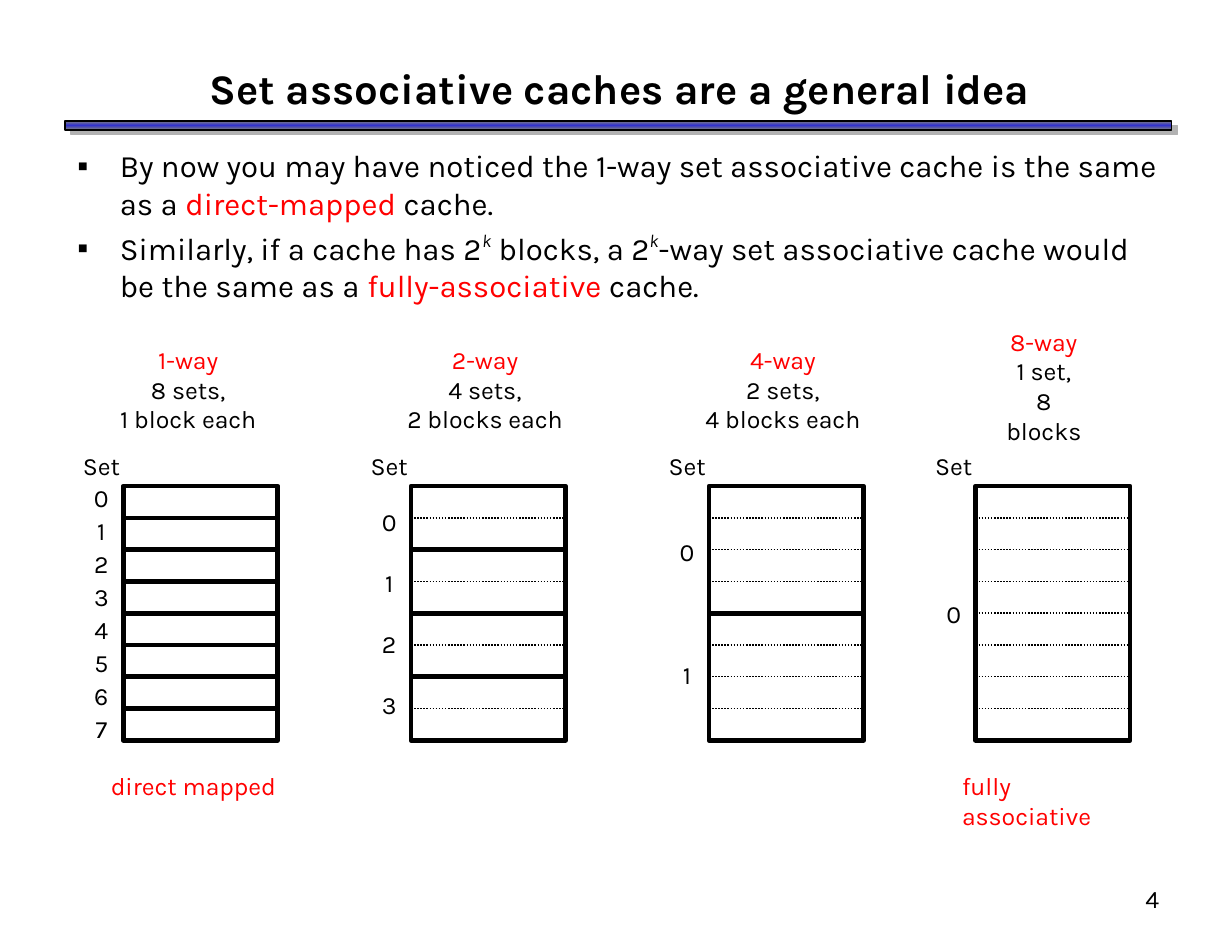
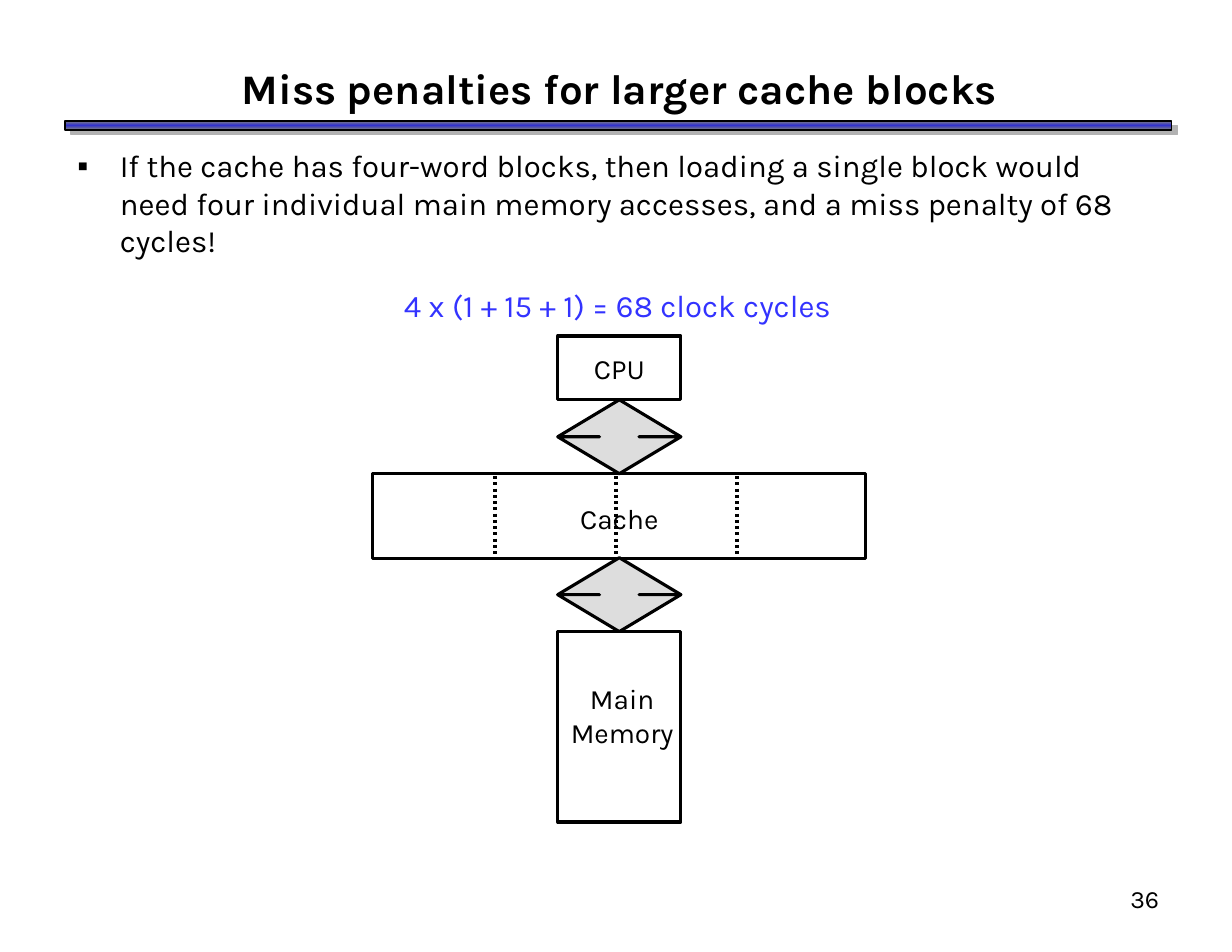
from pptx import Presentation
from pptx.dml.color import RGBColor
from pptx.enum.dml import MSO_LINE
from pptx.enum.shapes import MSO_CONNECTOR, MSO_SHAPE
from pptx.enum.text import MSO_ANCHOR, MSO_AUTO_SIZE, PP_ALIGN
from pptx.oxml import parse_xml
from pptx.oxml.ns import nsdecls
from pptx.util import Inches, Pt

RECT = MSO_SHAPE.RECTANGLE
ARROW = MSO_SHAPE.UP_DOWN_ARROW
LINE = MSO_CONNECTOR.STRAIGHT
DOT = MSO_LINE.ROUND_DOT
TOP, MID = MSO_ANCHOR.TOP, MSO_ANCHOR.MIDDLE
LEFT, CENTER, RIGHT = PP_ALIGN.LEFT, PP_ALIGN.CENTER, PP_ALIGN.RIGHT
FIXED = MSO_AUTO_SIZE.NONE

FONT = "Karla"
BLACK, RED, BLUE = "000000", "FF0000", "3333FF"
GRAY, INDIGO, SHADE, PALE = "808080", "3333CC", "B2B2B2", "DDDDDD"


def color(code):
    return RGBColor.from_string(code)


def node(tag, attrs="", inner=""):
    return parse_xml(f"<a:{tag} {nsdecls('a')} {attrs}>{inner}</a:{tag}>")


def tint(code):
    return f'<a:srgbClr val="{code}"/>'


class Deck:
    def __init__(self):
        self.prs = Presentation()
        self.prs.slide_width = Inches(11)
        self.prs.slide_height = Inches(8.5)
        self.slide = None

    def start(self, title, number):
        self.slide = self.prs.slides.add_slide(self.prs.slide_layouts[1])
        self.band()
        head = self.slide.shapes.title
        self.place(head, 0.58, 0.5, 9.9, 0.57)
        frame = self.frame(head, MID)
        frame.text = title
        self.style(frame.paragraphs[0], 27, align=CENTER, bold=True)
        self.text([str(number)], 8.17, 7.83, 2.29, 0.57,
                  align=RIGHT, anchor=TOP, wrap=True)

    def place(self, shape, x, y, w, h):
        shape.left, shape.top = Inches(x), Inches(y)
        shape.width, shape.height = Inches(w), Inches(h)

    def frame(self, shape, anchor, wrap=True):
        frame = shape.text_frame
        frame.word_wrap = wrap
        frame.auto_size = FIXED
        frame.vertical_anchor = anchor
        frame.margin_left = frame.margin_right = Inches(0.11)
        frame.margin_top = frame.margin_bottom = Inches(0.06)
        return frame

    def style(self, para, size, ink=BLACK, align=LEFT, bold=False):
        para.alignment = align
        for run in para.runs:
            font = run.font
            font.name, font.size, font.bold = FONT, Pt(size), bold
            font.color.rgb = color(ink)

    def band(self):
        bar = self.box(0.58, 1.08, 9.88, 0.08, 1)
        bar.fill.gradient()
        stops = bar.fill.gradient_stops
        bar.fill.gradient_angle = 90
        for stop in stops:
            stop.color.rgb = color(GRAY)
        stops[0].position, stops[1].position = 0, 1
        props = bar._element.spPr
        props.find(".//{*}gsLst").insert(1, node("gs", 'pos="50000"', tint(INDIGO)))
        props.find("{*}effectLst").append(node(
            "outerShdw", f'dist="{Pt(5)}" dir="{37 * 60000}"', tint(SHADE)))

    def body(self, items):
        holder = self.slide.placeholders[1]
        self.place(holder, 0.58, 1.25, 9.87, 6.5)
        frame = self.frame(holder, TOP)
        for i, parts in enumerate(items):
            para = frame.add_paragraph() if i else frame.paragraphs[0]
            para.space_before = Pt(5 if i else 0)
            props = para._p.get_or_add_pPr()
            props.set("marL", str(Inches(0.38)))
            props.set("indent", str(Inches(-0.38)))
            props.append(node("buClr", "", tint(BLACK)))
            props.append(node("buChar", 'char="▪"'))
            for words, _ in parts:
                para.add_run().text = words
            self.style(para, 20)
            for run, (_, mark) in zip(para.runs, parts):
                if mark == "power":
                    run.font.italic = True
                    run._r.get_or_add_rPr().set("baseline", "40000")
                elif mark:
                    run.font.color.rgb = color(mark)
        return frame

    def sum(self, frame, words):
        para = frame.add_paragraph()
        para.text = words
        para.space_before, para.space_after = Pt(17.5), Pt(12.5)
        props = para._p.get_or_add_pPr()
        props.set("marL", "0")
        props.set("indent", "0")
        props.append(node("buNone"))
        self.style(para, 20, BLUE, CENTER)

    def text(self, lines, x, y, w, h, size=16, ink=BLACK, first=None,
             align=CENTER, anchor=MID, gap=0, wrap=False):
        area = self.slide.shapes.add_textbox(
            Inches(x), Inches(y), Inches(w), Inches(h))
        frame = self.frame(area, anchor, wrap)
        frame.text = "\n".join(lines)
        for i, para in enumerate(frame.paragraphs):
            para.space_before = Pt(gap if i else 0)
            self.style(para, size, ink if i else first or ink, align)

    def box(self, x, y, w, h, weight, kind=RECT, fill=None):
        shape = self.slide.shapes.add_shape(
            kind, Inches(x), Inches(y), Inches(w), Inches(h))
        shape.shadow.inherit = False
        if fill:
            shape.fill.solid()
            shape.fill.fore_color.rgb = color(fill)
        else:
            shape.fill.background()
        shape.line.color.rgb = color(BLACK)
        shape.line.width = Pt(weight)
        return shape

    def arrow(self, x, y, w, h):
        shape = self.box(x, y, w, h, 2, ARROW, PALE)
        shape.adjustments[0], shape.adjustments[1] = 0.69, 0.32

    def dots(self, x, y, end, base, weight):
        line = self.slide.shapes.add_connector(
            LINE, Inches(x), Inches(y), Inches(end), Inches(base))
        line.line.color.rgb = color(BLACK)
        line.line.width = Pt(weight)
        line.line.dash_style = DOT
        line._element.spPr.append(node("effectLst"))

    def cache(self, x, ways, head, mid, gap):
        top, wide, tall, rows = 4.34, 1.38, 2.27, 8
        step = tall / rows
        sets = rows // ways
        whole = ways == rows
        span = 1 if whole else 1.62
        self.text([f"{ways}-way", *head], mid - span / 2, 2.99 if whole else 3.02,
                  span, 0.91, first=RED, wrap=whole)
        self.text(["Set"], x - 0.5, 3.97, 0.61, 0.38)
        self.text([str(n) for n in range(sets)], x - 0.37, top, 0.35, tall, gap=gap)
        for n in range(sets):
            self.box(x, top + n * ways * step, wide, ways * step, 3)
        for n in range(1, rows):
            if n % ways:
                self.dots(x, top + n * step, x + wide, top + n * step, 1)


def main():
    deck = Deck()
    deck.start("Set associative caches are a general idea", 4)
    deck.body([
        [("By now you may have noticed the 1-way set associative cache is the same as a ", None),
         ("direct-mapped", RED), (" cache.", None)],
        [("Similarly, if a cache has 2", None), ("k", "power"),
         (" blocks, a 2", None), ("k", "power"),
         ("-way set associative cache would be the same as a ", None),
         ("fully-associative ", RED), ("cache.", None)],
    ])
    for x, ways, head, mid, gap in (
        (1.1, 1, ("8 sets,", "1 block each"), 1.68, 2),
        (3.67, 2, ("4 sets,", "2 blocks each"), 4.33, 20),
        (6.33, 4, ("2 sets,", "4 blocks each"), 6.99, 60),
        (8.71, 8, ("1 set,", "8 blocks"), 9.32, 0),
    ):
        deck.cache(x, ways, head, mid, gap)
    for words, x, w in (("direct mapped", 0.88, 1.8), ("fully associative", 8.48, 1.6)):
        deck.text([words], x, 6.82, w, 0.37, ink=RED,
                  align=LEFT, anchor=TOP, wrap=True)

    deck.start("Miss penalties for larger cache blocks", 36)
    frame = deck.body([[(
        "If the cache has four-word blocks, then loading a single block would need "
        "four individual main memory accesses, and a miss penalty of 68 cycles!", None)]])
    deck.sum(frame, "4 x (1 + 15 + 1) = 68 clock cycles")
    for lines, x, y, w, h in (
        (["CPU"], 5.17, 3.08, 0.72, 0.41),
        (["Cache"], 5.03, 4.42, 1, 0.41),
        (["Main", "Memory"], 4.92, 6.03, 1.27, 0.71),
    ):
        deck.text(lines, x, y, w, h, size=18)
    for x, y, w, h in ((4.98, 3, 1.1, 0.57), (3.33, 4.23, 4.4, 0.76),
                       (4.98, 5.64, 1.1, 1.7)):
        deck.box(x, y, w, h, 2)
    for y in (3.57, 4.98):
        deck.arrow(4.98, y, 1.1, 0.66)
    for n in range(3):
        x = 4.42 + n * 1.08
        deck.dots(x, 4.25, x, 5, 2)
    deck.prs.save("out.pptx")


if __name__ == "__main__":
    main()
